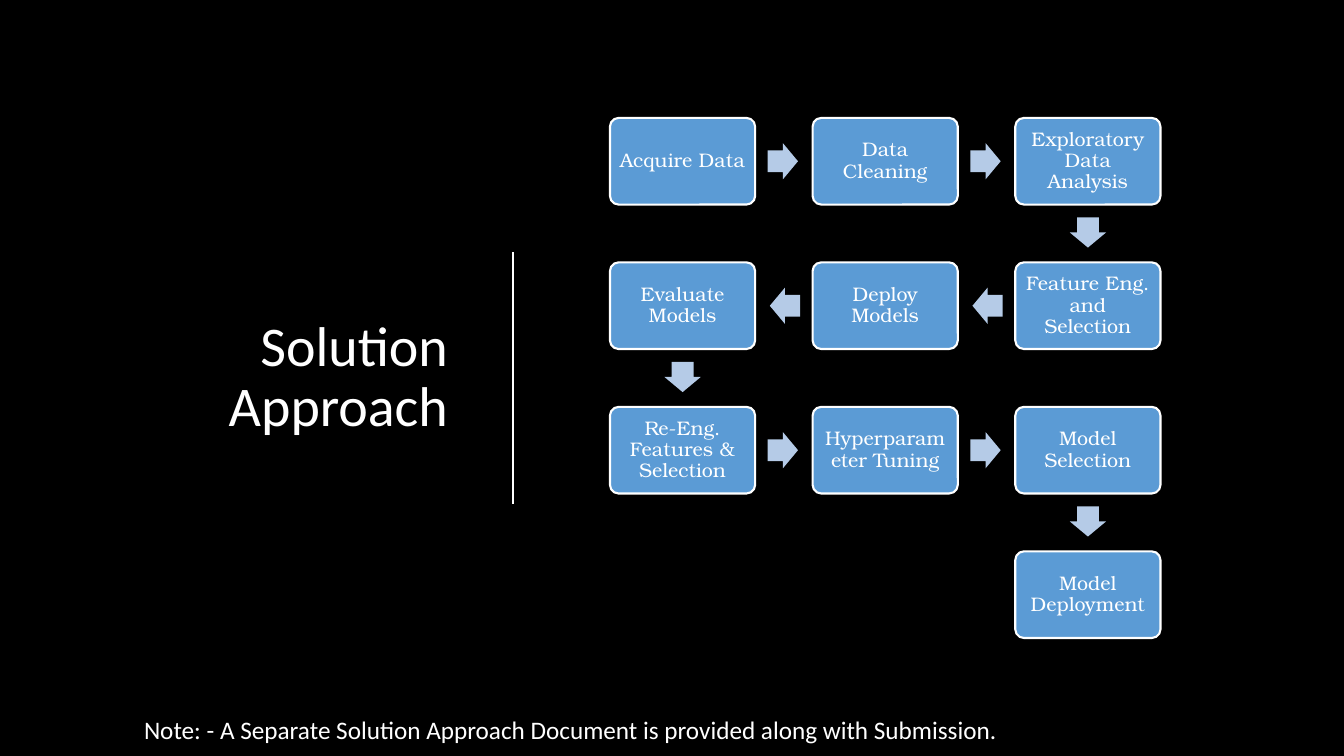
from pptx import Presentation
from pptx.dml.color import RGBColor
from pptx.enum.shapes import MSO_CONNECTOR as LINK, MSO_SHAPE as SHAPE
from pptx.enum.text import MSO_ANCHOR as ANCHOR, MSO_AUTO_SIZE as FIT, PP_ALIGN as ALIGN
from pptx.oxml.ns import qn
from pptx.util import Inches, Pt
from lxml import etree

HUES = {"back": "000000", "text": "FFFFFF", "box": "5B9BD5", "arrow": "B5CBE7"}
SANS, SERIF = "Calibri", "TeX Gyre Bonum"

# Steps in order, each with its column and row; the flow snakes down the grid
STEPS = [
    ("Acquire Data", 0, 0),
    ("Data Cleaning", 1, 0),
    ("Exploratory Data Analysis", 2, 0),
    ("Feature Eng. and Selection", 2, 1),
    ("Deploy Models", 1, 1),
    ("Evaluate Models", 0, 1),
    ("Re-Eng. Features & Selection", 0, 2),
    ("Hyperparameter Tuning", 1, 2),
    ("Model Selection", 2, 2),
    ("Model Deployment", 2, 3),
]
LEFT, TOP = 6.05, 1.17
WIDE, HIGH = 1.44, 0.86
STEP_X, STEP_Y = 2.01, 4.3 / 3
LONG, THICK = 0.3, 0.36  # arrow size
BACK = 0.01  # arrows sit slightly towards the box they leave
TURN = {(1, 0): 0, (0, 1): 90, (-1, 0): 180}


def hue(name):
    return RGBColor.from_string(HUES[name])


def write(frame, text, font, size, align, lead=None):
    frame.word_wrap = True
    para = frame.paragraphs[0]
    para.alignment = align
    para.line_spacing = lead
    run = para.add_run()
    run.text = text
    run.font.name = font
    run.font.size = Pt(size)
    run.font.color.rgb = hue("text")
    return para


def add_text(slide, x, y, w, h):
    return slide.shapes.add_textbox(Inches(x), Inches(y), Inches(w), Inches(h)).text_frame


def add_rule(slide, x, top, end):
    rule = slide.shapes.add_connector(LINK.STRAIGHT, Inches(x), Inches(top), Inches(x), Inches(end))
    rule.line.color.rgb = hue("text")
    rule.line.width = Pt(1.25)
    etree.SubElement(rule._element.spPr, qn("a:effectLst"))


def add_solid(group, kind, x, y, w, h, fill):
    shape = group.shapes.add_shape(kind, Inches(x), Inches(y), Inches(w), Inches(h))
    shape.shadow.inherit = False
    shape.fill.solid()
    shape.fill.fore_color.rgb = hue(fill)
    shape.line.fill.background()
    return shape


def add_box(group, text, col, row):
    box = add_solid(group, SHAPE.ROUNDED_RECTANGLE, LEFT + col * STEP_X,
                    TOP + row * STEP_Y, WIDE, HIGH, "box")
    box.adjustments[0] = 0.1
    box.line.color.rgb = hue("text")
    box.line.width = Pt(1.5)
    frame = box.text_frame
    frame.vertical_anchor = ANCHOR.MIDDLE
    frame.margin_left = frame.margin_right = Inches(0.06)
    frame.margin_top = frame.margin_bottom = Inches(0.06)
    write(frame, text, SERIF, 14, ALIGN.CENTER, 0.9)


def add_arrow(group, start, end):
    (_, col, row), (_, to_col, to_row) = start, end
    dx, dy = to_col - col, to_row - row
    mid_x = LEFT + WIDE / 2 + (col + dx / 2) * STEP_X - dx * BACK
    mid_y = TOP + HIGH / 2 + (row + dy / 2) * STEP_Y - dy * BACK
    arrow = add_solid(group, SHAPE.RIGHT_ARROW, mid_x - LONG / 2,
                      mid_y - THICK / 2, LONG, THICK, "arrow")
    arrow.adjustments[0] = 0.6
    arrow.adjustments[1] = 0.5
    arrow.rotation = TURN[dx, dy]


def main():
    deck = Presentation()
    deck.slide_width, deck.slide_height = Inches(13.33), Inches(7.5)
    slide = deck.slides.add_slide(deck.slide_layouts[6])
    slide.background.fill.solid()
    slide.background.fill.fore_color.rgb = hue("back")

    # Title and divider
    title = add_text(slide, 0.92, 1.17, 3.62, 5.17)
    title.vertical_anchor = ANCHOR.MIDDLE
    write(title, "Solution Approach", SANS, 40, ALIGN.RIGHT, 0.9)
    add_rule(slide, 5.09, 2.5, 5)

    # Note at the foot
    note = add_text(slide, 1.33, 7.04, 10.18, 0.4)
    note.auto_size = FIT.SHAPE_TO_FIT_TEXT
    para = write(note, "Note: - A Separate Solution Approach Document is provided "
                 "along with Submission.", SANS, 18, ALIGN.LEFT)
    para.space_after = Pt(6)

    # Process flow
    flow = slide.shapes.add_group_shape()
    for step in STEPS:
        add_box(flow, *step)
    for start, end in zip(STEPS, STEPS[1:]):
        add_arrow(flow, start, end)

    deck.save("out.pptx")


if __name__ == "__main__":
    main()
